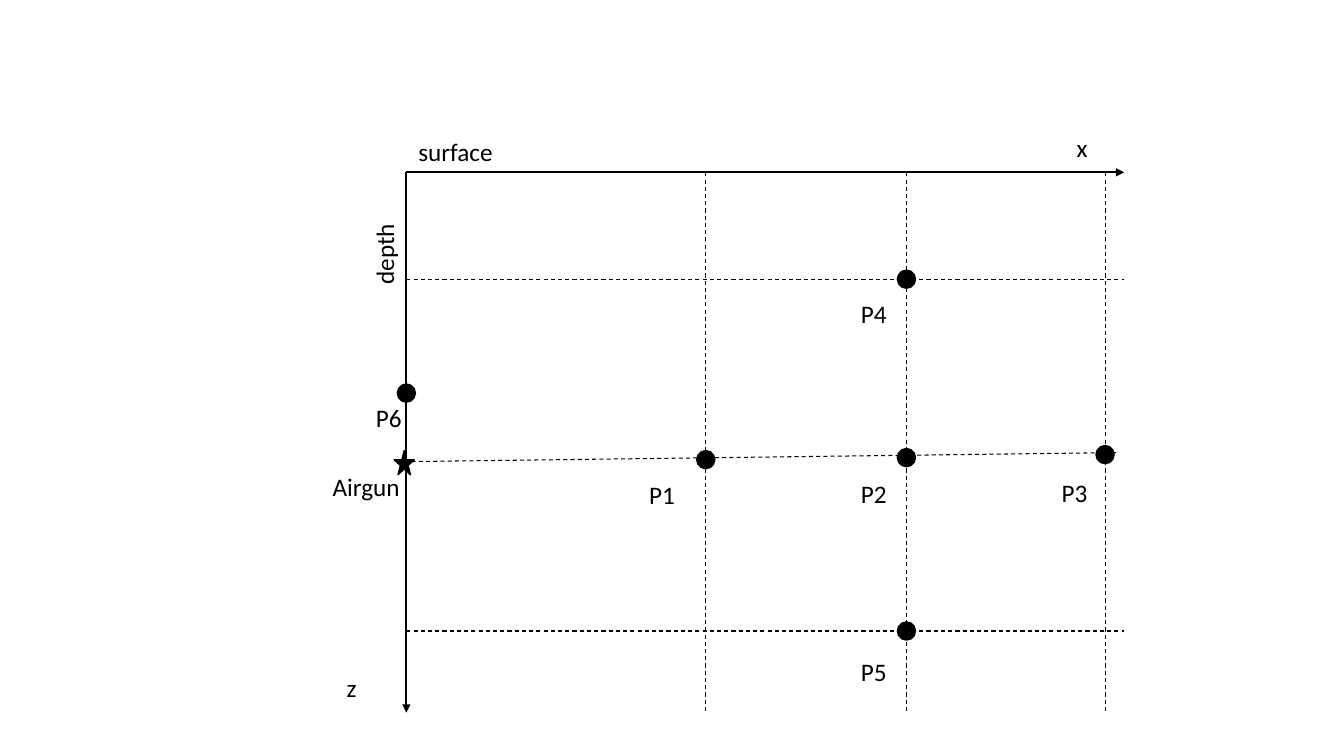
from lxml import etree
from pptx import Presentation
from pptx import util as u
from pptx.dml.color import RGBColor
from pptx.enum import dml, shapes, text
from pptx.oxml.ns import qn

COLORS = {"ink": "000000", "paper": "FFFFFF"}
INK = RGBColor.from_string(COLORS["ink"])
LABEL_FORMAT = {"name": "Calibri", "size": u.Pt(18)}

presentation = Presentation()
presentation.slide_width = u.Inches(13.33)
presentation.slide_height = u.Inches(7.5)
slide = presentation.slides.add_slide(presentation.slide_layouts[6])
slide.background.fill.solid()
slide.background.fill.fore_color.rgb = RGBColor.from_string(COLORS["paper"])

left, right, top, bottom = 4.03, 11.15, 1.71, 7.07
columns = [7, 8.99, 10.96]
rows = [2.77, 6.26]


def add_line(start, end, width):
    line = slide.shapes.add_connector(
        shapes.MSO_CONNECTOR.STRAIGHT, *map(u.Inches, (*start, *end)))
    line.line.color.rgb = INK
    line.line.width = u.Pt(width)
    etree.SubElement(line._element.spPr, qn("a:effectLst"))
    return line


def add_marker(kind, x, y, width, height):
    marker = slide.shapes.add_shape(
        kind, *map(u.Inches, (x - width / 2, y - height / 2, width, height)))
    marker.shadow.inherit = False
    marker.fill.solid()
    marker.fill.fore_color.rgb = INK
    marker.line.color.rgb = INK
    marker.line.width = u.Pt(1)


for end in [(right, top), (left, bottom)]:
    axis = add_line((left, top), end, 1.5)
    etree.SubElement(axis.line._get_or_add_ln(), qn("a:tailEnd"), type="triangle")

guides = [((left, y), (right, y)) for y in rows]
guides += [((x, top), (x, bottom)) for x in columns]
guides.append(((4.01, 4.58), (11.1, 4.49)))
for start, end in guides:
    guide = add_line(start, end, 0.75)
    guide.line.dash_style = dml.MSO_LINE.DASH

add_marker(shapes.MSO_SHAPE.STAR_5_POINT, 4.01, 4.59, 0.2, 0.24)
points = [(left, 3.9), (columns[1], rows[1]), (columns[1], rows[0]),
          (columns[2], 4.51), (columns[1], 4.54), (columns[0], 4.56)]
for x, y in points:
    add_marker(shapes.MSO_SHAPE.OVAL, x, y, 0.18, 0.18)

labels = [
    ("Airgun", 3.2, 4.63, 1.15, 0),
    ("P1", 6.34, 4.71, 0.58, 0),
    ("P2", 8.44, 4.7, 0.55, 0),
    ("P3", 10.43, 4.69, 0.55, 0),
    ("P4", 8.44, 2.91, 0.55, 0),
    ("P5", 8.44, 6.46, 0.55, 0),
    ("P6", 3.63, 3.94, 0.8, 0),
    ("x", 10.58, 1.26, 0.88, 0),
    ("z", 3.34, 6.62, 0.83, 0),
    ("surface", 4.05, 1.3, 1.12, 0),
    ("depth", 3.29, 2.2, 1.04, 270),
]
for wording, x, y, width, rotation in labels:
    label = slide.shapes.add_textbox(*map(u.Inches, (x, y, width, 0.4)))
    label.rotation = rotation
    frame = label.text_frame
    frame.word_wrap = True
    frame.auto_size = text.MSO_AUTO_SIZE.SHAPE_TO_FIT_TEXT
    paragraph = frame.paragraphs[0]
    paragraph.text = wording
    for attribute, value in LABEL_FORMAT.items():
        setattr(paragraph.font, attribute, value)
    paragraph.font.color.rgb = INK

presentation.save("out.pptx")
